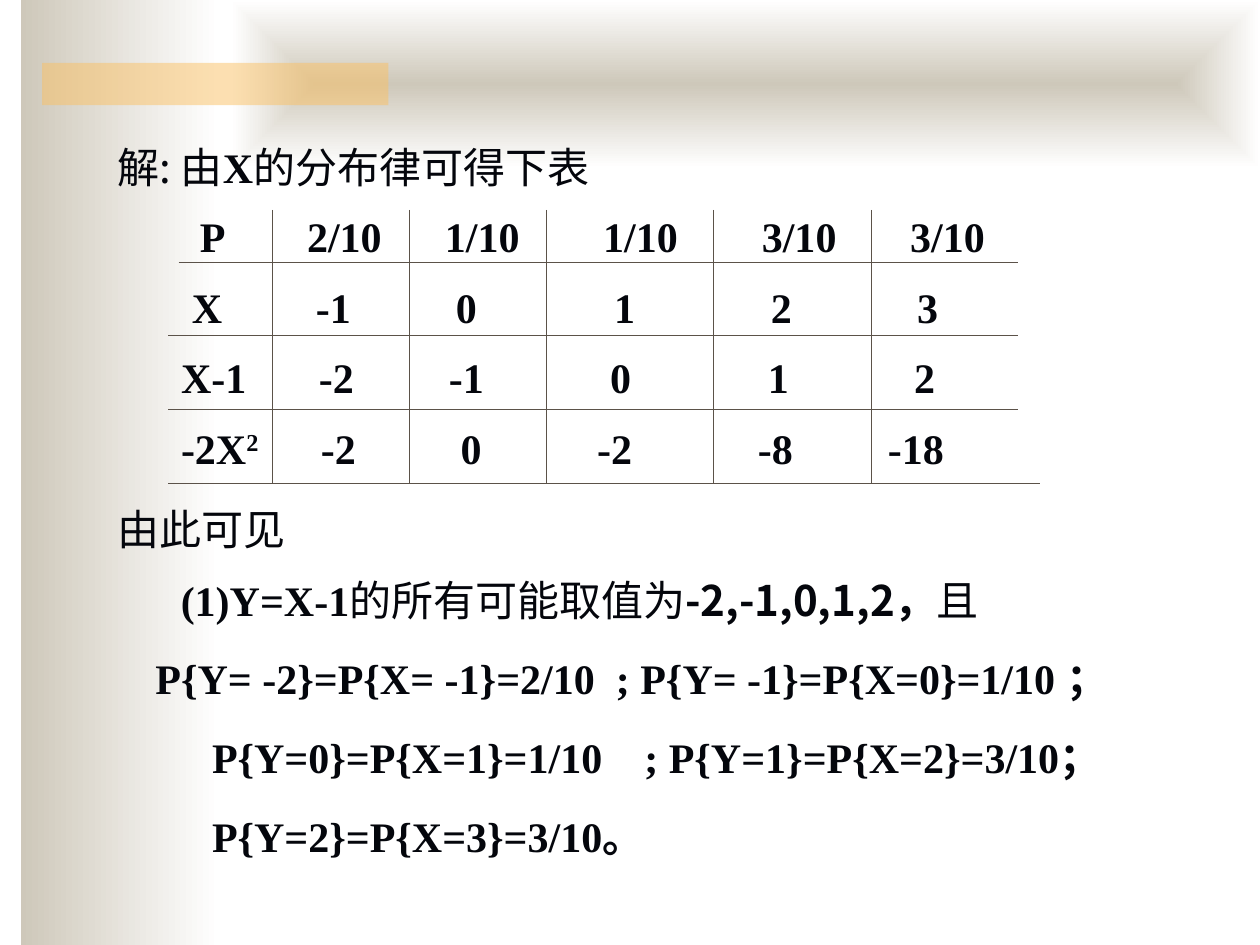
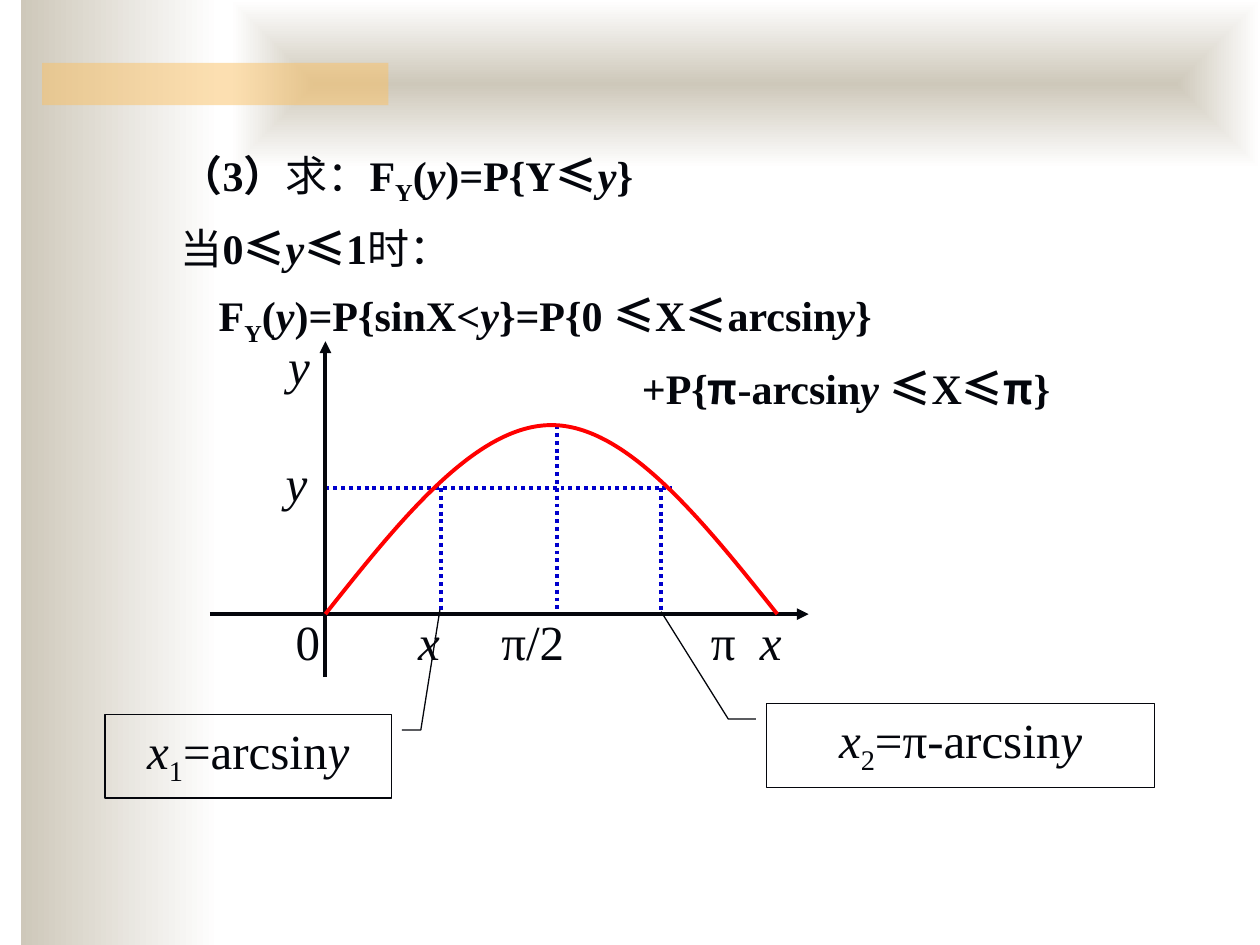
from lxml import etree
from pptx import Presentation
from pptx.dml.color import RGBColor
from pptx.enum.dml import MSO_LINE
from pptx.enum.shapes import MSO_CONNECTOR, MSO_SHAPE
from pptx.enum.text import MSO_ANCHOR, MSO_AUTO_SIZE, PP_ALIGN
from pptx.oxml.ns import qn
from pptx.util import Cm, Pt

RECTANGLE = MSO_SHAPE.RECTANGLE
CALLOUT = MSO_SHAPE.LINE_CALLOUT_2
STRAIGHT = MSO_CONNECTOR.STRAIGHT
DOTTED = MSO_LINE.ROUND_DOT
CENTER = PP_ALIGN.CENTER
MIDDLE = MSO_ANCHOR.MIDDLE
NO_FIT = MSO_AUTO_SIZE.NONE

INK = RGBColor(0x04, 0x06, 0x0C)
STONE = RGBColor(0xCE, 0xC8, 0xBA)
WHITE = RGBColor(0xFF, 0xFF, 0xFF)
AMBER = RGBColor(0xFA, 0xC1, 0x64)
RULE = RGBColor(0x5B, 0x52, 0x49)
BLUE = RGBColor(0x00, 0x00, 0xCC)
RED = RGBColor(0xFF, 0x00, 0x00)

SERIF = "Times New Roman"
HAN = "Noto Sans CJK SC"
NO_GRID_STYLE = "{2D5ABB26-0587-4C30-8999-92F81FD0307C}"

HAN_PLAIN = {"name": HAN, "bold": False}
HAN_BOLD = {"name": HAN, "bold": True}
PLAIN = {"name": SERIF, "bold": False}
BOLD = {"name": SERIF, "bold": True}
ITALIC = {"name": SERIF, "italic": True}
BOLD_ITALIC = {"name": SERIF, "bold": True, "italic": True}

BODY_SIZE = Pt(24)
FIGURE_SIZE = Pt(28)
SOLUTION_LEADING = Pt(40.3)
DERIVATION_LEADING = Pt(37.7)
GAP = Pt(4.8)
TABLE_GAP = Pt(166.6)

LE = ("≤", HAN_BOLD)
Y = ("y", BOLD_ITALIC)
PI = ("π", HAN_BOLD)
F_OF_Y = [("F", BOLD), ("Y", BOLD, -25), ("(", BOLD), Y]

SOLUTION = [
    (0, 0, [("解: 由", HAN_PLAIN), ("X", BOLD), ("的分布律可得下表", HAN_PLAIN)]),
    (0, TABLE_GAP, [("由此可见", HAN_PLAIN)]),
    (1.27, 0, [("(1)Y=X-1", BOLD), ("的所有可能取值为", HAN_PLAIN),
               ("-2,-1,0,1,2，", HAN_BOLD), ("且", HAN_PLAIN)]),
    (0.76, GAP, [("P{Y= -2}=P{X= -1}=2/10\u2002; P{Y= -1}=P{X=0}=1/10 ；", BOLD)]),
    (1.9, GAP, [("P{Y=0}=P{X=1}=1/10\u2003; P{Y=1}=P{X=2}=3/10；", BOLD)]),
    (1.9, GAP, [("P{Y=2}=P{X=3}=3/10。", BOLD)]),
]

DISTRIBUTION = [
    ([("P", BOLD)], "2/10", "1/10", "1/10", "3/10", "3/10"),
    ([("X", BOLD)], "-1", "0", "1", "2", "3"),
    ([("X-1", BOLD)], "-2", "-1", "0", "1", "2"),
    ([("-2X", BOLD), ("2", BOLD, 30)], "-2", "0", "-2", "-8", "-18"),
]
TEXT_STARTS = [
    (4.03, 6.19, 8.97, 12.16, 15.36, 18.35),
    (3.87, 6.37, 9.19, 12.38, 15.54, 18.49),
    (3.65, 6.43, 9.05, 12.3, 15.48, 18.43),
    (3.65, 6.47, 9.29, 12.04, 15.28, 17.9),
]
TABLE_TOP = 4.1
ROW_HEIGHT = 1.42
COLUMN_EDGES = [3.39, 5.5, 8.26, 11.01, 14.39, 17.57, 20.53]
GRID_TOP = 4.23
GRID_BOTTOM = 9.74
ROW_RULES = [(3.6, 20.53, 5.29), (3.39, 20.53, 6.77), (3.39, 20.53, 8.26),
             (3.39, 20.96, GRID_BOTTOM)]

DERIVATION = [
    (0, 0, [("（3）", BOLD), ("求：", PLAIN), *F_OF_Y, (")=P{Y", BOLD), LE, Y, ("}", BOLD)]),
    (0, 0, [("当", PLAIN), ("0", BOLD), LE, Y, LE, ("1", BOLD), ("时：", PLAIN)]),
    (0.77, Pt(5), [*F_OF_Y, (")=P{sinX<", BOLD), Y, ("}=P{0 ", BOLD), LE, ("X", BOLD), LE,
                   ("arcsin", BOLD), Y, ("}", BOLD)]),
    (9.3, 0, [("+P{", BOLD), PI, ("-arcsin", BOLD), ("y ", BOLD_ITALIC), LE, ("X", BOLD),
              LE, PI, ("}", BOLD)]),
]

AXIS_X = 6.56
AXIS_Y = 12.38
LEVEL = 9.84
PEAK = 8.57
GUIDES = [
    ((11.22, PEAK), (11.22, AXIS_Y)),
    ((AXIS_X, LEVEL), (13.55, LEVEL)),
    ((8.89, LEVEL), (8.89, AXIS_Y)),
    ((13.33, LEVEL), (13.33, AXIS_Y)),
]
AXES = [((AXIS_X, 13.65), (AXIS_X, 6.88)), ((4.23, AXIS_Y), (16.3, AXIS_Y))]
CURVE_POINTS = [(8.08, 10.46), (9.6, PEAK), (11.12, PEAK),
                (12.62, PEAK), (14.14, 10.46), (15.67, AXIS_Y)]
GUIDE_LINE = {"width": Pt(2.25), "dash_style": DOTTED}
HEAVY_LINE = {"width": Pt(2.25)}
THIN_LINE = {"width": Pt(0.75)}

LABEL_ROW = 12.2
FIGURE_LABELS = [
    ("y", ITALIC, 5.56, 6.63), ("y", ITALIC, 5.51, 8.99),
    ("0", PLAIN, 5.71, LABEL_ROW), ("x", ITALIC, 8.18, LABEL_ROW),
    ("π/2", PLAIN, 9.86, LABEL_ROW), ("π", PLAIN, 14.08, LABEL_ROW),
    ("x", ITALIC, 15.07, LABEL_ROW),
]
CALLOUTS = [
    ("1", "=arcsin", (2.12, 14.4, 5.77, 1.69), (0.188, 1.037, 0.188, 1.103, -1.25, 1.17)),
    ("2", "=π-arcsin", (15.45, 14.18, 7.83, 1.69),
     (0.188, -0.027, 0.188, -0.098, -1.094, -0.271)),
]


def set_all(target, values):
    for key, value in values.items():
        setattr(target, key, value)


def box(*lengths):
    return [Cm(length) for length in lengths]


def write_runs(paragraph, pieces, size):
    for text, style, *shift in pieces:
        run = paragraph.add_run()
        run.text = text
        set_all(run.font, {"size": size, **style})
        run.font.color.rgb = INK
        properties = run.font._element
        etree.SubElement(properties, qn("a:ea"), typeface=HAN)
        if shift:
            properties.set("baseline", str(shift[0] * 1000))


def write_lines(frame, lines, leading):
    set_all(frame, {"word_wrap": True, "auto_size": NO_FIT})
    for number, (indent, before, pieces) in enumerate(lines):
        paragraph = frame.add_paragraph() if number else frame.paragraphs[0]
        set_all(paragraph, {"line_spacing": leading, "space_before": before,
                            "space_after": 0})
        properties = paragraph._p.get_or_add_pPr()
        properties.set("marL", str(Cm(indent)))
        properties.set("indent", "0")
        etree.SubElement(properties, qn("a:buNone"))
        write_runs(paragraph, pieces, BODY_SIZE)


def add_band(shapes, place, colors):
    band = shapes.add_shape(RECTANGLE, *box(*place))
    band.shadow.inherit = False
    band.line.fill.background()
    if len(colors) == 1:
        band.fill.solid()
        band.fill.fore_color.rgb = colors[0]
    else:
        band.fill.gradient()
        band.fill.gradient_angle = 0
        for stop, color in zip(band.fill.gradient_stops, colors):
            stop.color.rgb = color
    return band


def decorate_master(prs, shapes):
    side = add_band(shapes, (0.42, 0, 4.02, 19.05), (STONE, WHITE))
    header = add_band(shapes, (4.66, 0, 20.74, 3.39), (STONE, WHITE))
    accent = add_band(shapes, (0.85, 1.27, 6.98, 0.85), (AMBER,))

    gradient = header.element.spPr.find(qn("a:gradFill"))
    gradient.remove(gradient.find(qn("a:lin")))
    spread = etree.SubElement(gradient, qn("a:path"), path="shape")
    etree.SubElement(spread, qn("a:fillToRect"), l="50000", t="50000", r="50000", b="50000")

    tint = accent.element.spPr.find(qn("a:solidFill"))[0]
    etree.SubElement(tint, qn("a:alpha"), val="50000")

    master_tree = prs.slide_master.shapes.element
    for number, band in enumerate((side, header, accent)):
        band.element.nvSpPr.cNvPr.set("id", str(101 + number))
        master_tree.insert(2 + number, band.element)


def add_line(shapes, start, end, color, style, arrow=False):
    connector = shapes.add_connector(STRAIGHT, *box(*start, *end))
    connector.line.color.rgb = color
    set_all(connector.line, style)
    if arrow:
        etree.SubElement(connector.line._get_or_add_ln(), qn("a:tailEnd"), type="triangle")
    etree.SubElement(connector.element.spPr, qn("a:effectLst"))


def add_distribution(shapes):
    rows, columns = len(DISTRIBUTION), len(COLUMN_EDGES) - 1
    left, right = COLUMN_EDGES[0], COLUMN_EDGES[-1]
    frame = shapes.add_table(rows, columns, *box(left, TABLE_TOP, right - left,
                                                 rows * ROW_HEIGHT))
    table = frame.table
    set_all(table, {"first_row": False, "horz_banding": False})
    table._tbl.tblPr.find(qn("a:tableStyleId")).text = NO_GRID_STYLE
    for column, start, end in zip(table.columns, COLUMN_EDGES, COLUMN_EDGES[1:]):
        column.width = Cm(end - start)
    for r, (label, *values) in enumerate(DISTRIBUTION):
        table.rows[r].height = Cm(ROW_HEIGHT)
        for c, pieces in enumerate([label] + [[(value, BOLD)] for value in values]):
            cell = table.cell(r, c)
            set_all(cell, {"margin_left": Cm(TEXT_STARTS[r][c] - COLUMN_EDGES[c]),
                           "margin_right": 0, "margin_top": 0, "margin_bottom": 0,
                           "vertical_anchor": MIDDLE})
            cell.fill.background()
            write_runs(cell.text_frame.paragraphs[0], pieces, BODY_SIZE)


def add_grid(shapes):
    for start, end, height in ROW_RULES:
        add_line(shapes, (start, height), (end, height), RULE, THIN_LINE)
    for edge in COLUMN_EDGES[1:-1]:
        add_line(shapes, (edge, GRID_TOP), (edge, GRID_BOTTOM), RULE, THIN_LINE)


def add_sine_curve(shapes):
    builder = shapes.build_freeform(Cm(AXIS_X), Cm(AXIS_Y))
    builder.add_line_segments([box(*point) for point in CURVE_POINTS], close=False)
    curve = builder.convert_to_shape()
    curve.shadow.inherit = False
    curve.fill.background()
    curve.line.color.rgb = RED
    set_all(curve.line, HEAVY_LINE)
    outline = next(curve.element.iter(qn("a:path")))
    segments = outline.findall(qn("a:lnTo"))
    for first in range(0, len(segments), 3):
        arc = etree.SubElement(outline, qn("a:cubicBezTo"))
        for segment in segments[first:first + 3]:
            arc.append(segment[0])
            outline.remove(segment)


def add_label(shapes, text, style, left, top):
    width = 2.1 if len(text) > 1 else 1.2
    frame = shapes.add_textbox(*box(left, top, width, 1.45)).text_frame
    frame.word_wrap = True
    write_runs(frame.paragraphs[0], [(text, style)], FIGURE_SIZE)


def add_callout(shapes, index, formula, place, pointer):
    callout = shapes.add_shape(CALLOUT, *box(*place))
    callout.shadow.inherit = False
    callout.fill.background()
    callout.line.color.rgb = INK
    set_all(callout.line, THIN_LINE)
    for number, value in enumerate(pointer):
        callout.adjustments[number] = value
    callout.text_frame.margin_bottom = Cm(0.21)
    paragraph = callout.text_frame.paragraphs[0]
    paragraph.alignment = CENTER
    pieces = [("x", ITALIC), (index, PLAIN, -25), (formula, PLAIN), ("y", ITALIC)]
    write_runs(paragraph, pieces, FIGURE_SIZE)


def build_solution(slide):
    title = slide.shapes.title.element
    title.getparent().remove(title)
    body = slide.placeholders[1]
    set_all(body, dict(zip(("left", "top", "width", "height"), box(2.12, 2.32, 22.43, 16.1))))
    write_lines(body.text_frame, SOLUTION, SOLUTION_LEADING)
    add_distribution(slide.shapes)
    add_grid(slide.shapes)


def build_derivation(slide):
    shapes = slide.shapes
    derivation = shapes.add_textbox(*box(3.39, 2.71, 20.11, 5.54))
    write_lines(derivation.text_frame, DERIVATION, DERIVATION_LEADING)
    for start, end in GUIDES:
        add_line(shapes, start, end, BLUE, GUIDE_LINE)
    for start, end in AXES:
        add_line(shapes, start, end, INK, HEAVY_LINE, arrow=True)
    add_sine_curve(shapes)
    for label in FIGURE_LABELS:
        add_label(shapes, *label)
    for callout in CALLOUTS:
        add_callout(shapes, *callout)


def main():
    prs = Presentation()
    set_all(prs, {"slide_width": Cm(25.4), "slide_height": Cm(19.05)})
    solution = prs.slides.add_slide(prs.slide_layouts[1])
    derivation = prs.slides.add_slide(prs.slide_layouts[6])
    decorate_master(prs, solution.shapes)
    build_solution(solution)
    build_derivation(derivation)
    prs.save("out.pptx")


main()
